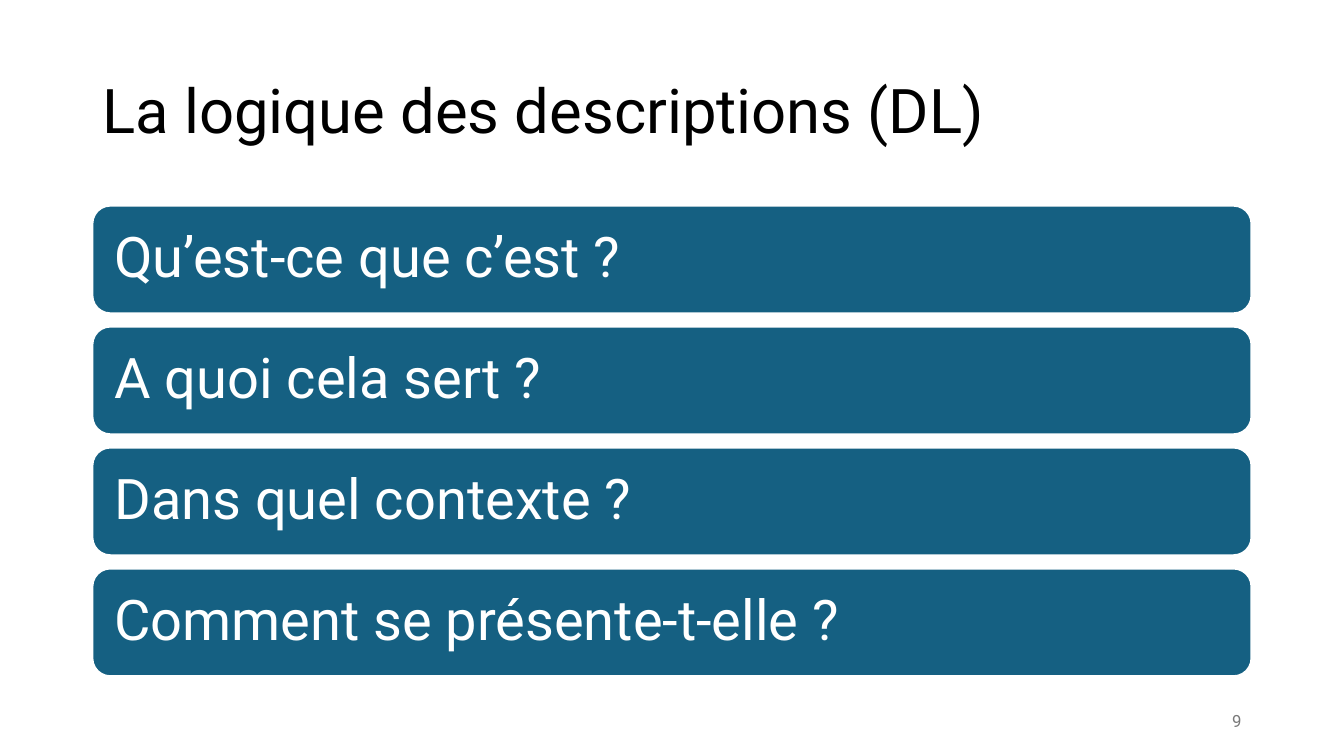
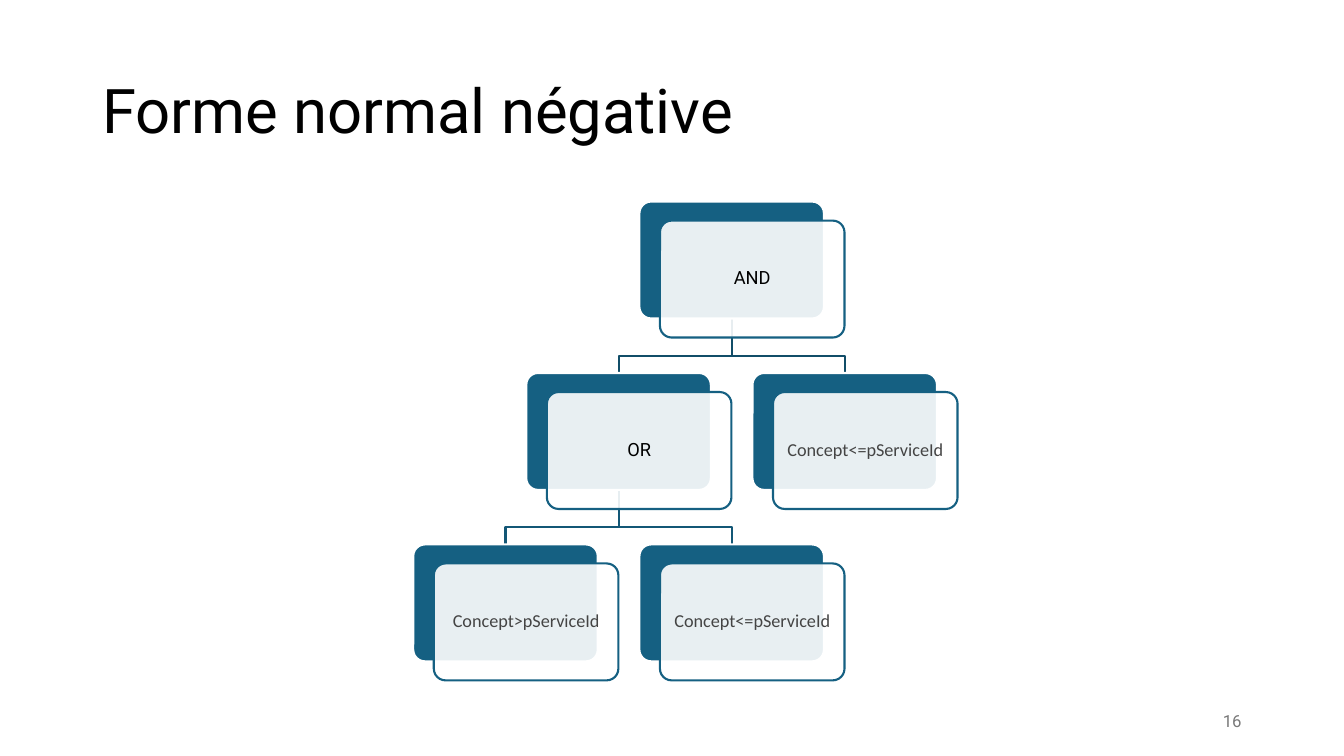
from dataclasses import dataclass

from lxml import etree
from pptx import Presentation
from pptx.dml.color import RGBColor
from pptx.enum import shapes, text
from pptx.oxml import ns
from pptx.util import Pt


@dataclass(frozen=True)
class Theme:
    font: str = "Roboto"
    formula_font: str = "Calibri"
    white: str = "FFFFFF"
    black: str = "000000"
    blue: str = "156082"
    formula: str = "444444"
    muted: str = "797979"
    links: tuple = ("114D68", "135776")  # one colour per tree level
    title_size: float = 44
    bar_size: float = 40
    node_size: float = 13
    number_size: float = 12
    line: float = 1.5


THEME = Theme()
TITLE_BOX = (66, 28.8, 828, 104.4)
NUMBER_BOX = (678, 500.4, 216, 28.8)
BARS_BOX = (66, 146.9, 828, 336.2)
TREE_BOX = (295.2, 144, 388.8, 342)


def write(shape, words, size, color, font=THEME.font, align="LEFT",
          spacing=0.9, inset=None):
    frame = shape.text_frame
    formats = {"word_wrap": True, "vertical_anchor": text.MSO_ANCHOR.MIDDLE}
    if inset is not None:
        for side in ("left", "top", "right", "bottom"):
            formats[f"margin_{side}"] = Pt(inset)
    for name, value in formats.items():
        setattr(frame, name, value)
    paragraph = frame.paragraphs[0]
    paragraph.alignment = getattr(text.PP_ALIGN, align)
    paragraph.line_spacing = spacing
    run = paragraph.add_run()
    run.text = words
    for name, value in {"name": font, "size": Pt(size)}.items():
        setattr(run.font, name, value)
    run.font.color.rgb = RGBColor.from_string(color)


def add_label(slide, box, words, size, color, **formats):
    label = slide.shapes.add_textbox(*map(Pt, box))
    write(label, words, size, color, **formats)


def set_line(shape, color):
    shape.shadow.inherit = False
    shape.line.color.rgb = RGBColor.from_string(color)
    shape.line.width = Pt(THEME.line)


def add_rounded(slide, box, fill, line, corner=None, opacity=None):
    panel = slide.shapes.add_shape(
        shapes.MSO_SHAPE.ROUNDED_RECTANGLE, *map(Pt, box))
    panel.fill.solid()
    panel.fill.fore_color.rgb = RGBColor.from_string(fill)
    set_line(panel, line)
    if corner is not None:
        panel.adjustments[0] = corner
    if opacity is not None:
        color = panel.fill._xPr.find(".//" + ns.qn("a:srgbClr"))
        etree.SubElement(color, ns.qn("a:alpha"), val=str(opacity * 1000))
    return panel


def add_page(deck, title, number):
    slide = deck.slides.add_slide(deck.slide_layouts[6])
    add_label(slide, TITLE_BOX, title, THEME.title_size, THEME.black)
    add_label(slide, NUMBER_BOX, str(number), THEME.number_size, THEME.muted,
              align="RIGHT", spacing=1.0)
    return slide


# Stack of full-width question bars
def add_bars(slide, box, questions, gap=9.4):
    left, top, width, height = box
    bar_height = (height + gap) / len(questions) - gap
    for index, question in enumerate(questions):
        bar_top = top + index * (bar_height + gap)
        bar = add_rounded(slide, (left, bar_top, width, bar_height),
                          THEME.blue, THEME.white)
        write(bar, question, THEME.bar_size, THEME.white, inset=12)


# Binary tree: a node is (label, children), children sit half a step aside
def walk(node, column=0, row=0, parent=None):
    label, children = node
    yield label, bool(children), column, row, parent
    for side, child in zip((-1, 1), children):
        yield from walk(child, column + side, row + 1, column)


def add_tree(slide, box, root):
    card_width, card_height = 131.8, 83.5
    shift_x, shift_y = 14.7, 13.6
    bend = 12.2
    nodes = list(walk(root))
    columns = [node[2] for node in nodes]
    last_row = max(node[3] for node in nodes)
    left, top, width, height = box
    step_x = (width - card_width - shift_x) / (max(columns) - min(columns))
    step_y = (height - card_height - shift_y) / last_row

    def card_left(column):
        return left + (column - min(columns)) * step_x

    # Links, from the parent's bottom to the child's top
    for _, _, column, row, parent in nodes:
        if parent is None:
            continue
        start_x, end_x = (card_left(c) + card_width / 2
                          for c in (parent, column))
        end_y = top + row * step_y
        start_y = end_y - step_y + card_height
        outline = slide.shapes.build_freeform(Pt(start_x), Pt(start_y))
        corners = ((start_x, end_y - bend), (end_x, end_y - bend),
                   (end_x, end_y))
        outline.add_line_segments([(Pt(x), Pt(y)) for x, y in corners],
                                  close=False)
        link = outline.convert_to_shape()
        link.fill.background()
        set_line(link, THEME.links[row - 1])

    # Cards, each a solid back and a translucent front
    for label, is_operator, column, row, _ in nodes:
        x, y = card_left(column), top + row * step_y
        add_rounded(slide, (x, y, card_width, card_height),
                    THEME.blue, THEME.white, corner=0.1)
        front = add_rounded(
            slide, (x + shift_x, y + shift_y, card_width, card_height),
            THEME.white, THEME.blue, corner=0.1, opacity=90)
        color, font = ((THEME.black, THEME.font) if is_operator
                       else (THEME.formula, THEME.formula_font))
        write(front, label, THEME.node_size, color, font=font,
              align="CENTER", inset=3.6)


def main():
    deck = Presentation()
    deck.slide_width, deck.slide_height = Pt(960), Pt(540)

    questions = add_page(deck, "La logique des descriptions (DL)", 9)
    add_bars(questions, BARS_BOX, (
        "Qu’est-ce que c’est ?",
        "A quoi cela sert ?",
        "Dans quel contexte ?",
        "Comment se présente-t-elle ?",
    ))

    normal_form = add_page(deck, "Forme normal négative", 16)
    add_tree(normal_form, TREE_BOX, ("AND", (
        ("OR", (
            ("Concept>pServiceId", ()),
            ("Concept<=pServiceId", ()),
        )),
        ("Concept<=pServiceId", ()),
    )))

    deck.save("out.pptx")


if __name__ == "__main__":
    main()
